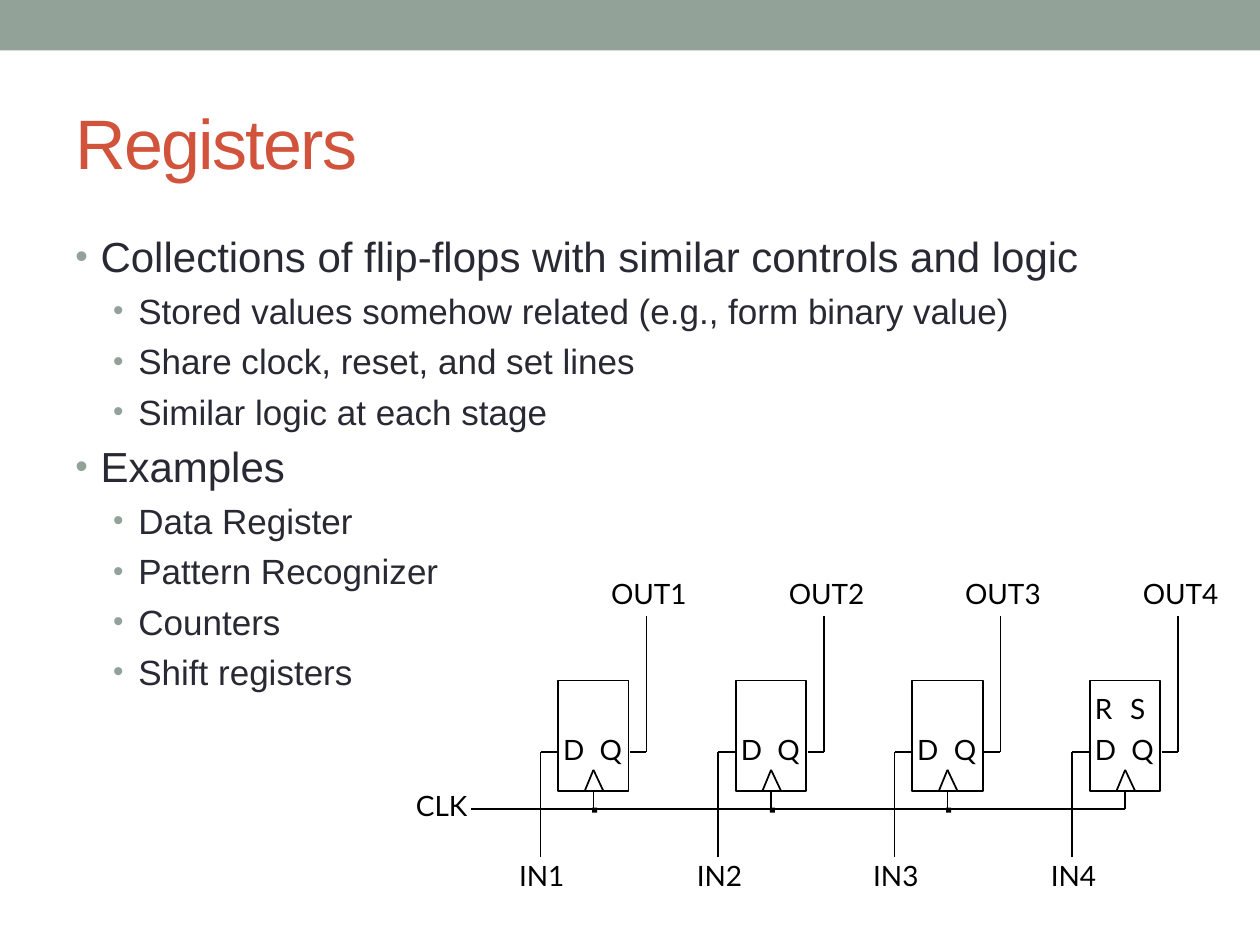
import pptx
import pptx.util
import pptx.dml.color
import pptx.enum.shapes
import pptx.enum.text
from lxml import etree
from pptx.oxml.ns import qn

Inches, Pt = pptx.util.Inches, pptx.util.Pt
ALIGN = pptx.enum.text.PP_ALIGN
ANCHOR = pptx.enum.text.MSO_ANCHOR

# Content
TITLE = "Registers"
BULLETS = [
    (0, "Collections of flip-flops with similar controls and logic"),
    (1, "Stored values somehow related (e.g., form binary value)"),
    (1, "Share clock, reset, and set lines"),
    (1, "Similar logic at each stage"),
    (0, "Examples"),
    (1, "Data Register"),
    (1, "Pattern Recognizer"),
    (1, "Counters"),
    (1, "Shift registers"),
]
BULLET_LEVELS = [{"size": 24, "margin": 0.2}, {"size": 20, "margin": 0.5}]
STAGES = [  # left edge of each flip-flop, output label, input label
    (4.43, "OUT1", "IN1"),
    (5.84, "OUT2", "IN2"),
    (7.24, "OUT3", "IN3"),
    (8.65, "OUT4", "IN4"),
]

# Circuit geometry
BOX_TOP, BOX_WIDTH, BOX_HEIGHT = 5.4, 0.56, 0.88
BOX_BOTTOM = BOX_TOP + BOX_HEIGHT
PIN_Y, CLOCK_Y, CLOCK_START = 5.97, 6.42, 3.74
STEM = 0.28  # from a flip-flop's left edge to its clock pin
LABEL_HEIGHT = 0.37


def color(hex_string):
    return pptx.dml.color.RGBColor.from_string(hex_string)


def write(paragraph, text, font="Lato", size=16, ink="000000", spacing=None):
    run = paragraph.add_run()
    run.text = text
    run.font.name, run.font.size = font, Pt(size)
    run.font.color.rgb = color(ink)
    if spacing is not None:
        run.font._element.set("spc", str(spacing))


def add_rectangle(left, top, width, height, fill, line=None):
    shape = slide.shapes.add_shape(
        pptx.enum.shapes.MSO_SHAPE.RECTANGLE,
        Inches(left), Inches(top), Inches(width), Inches(height))
    shape.shadow.inherit = False
    shape.fill.solid()
    shape.fill.fore_color.rgb = color(fill)
    if line:
        shape.line.color.rgb = color(line)
        shape.line.width = Pt(1)
    else:
        shape.line.fill.background()


def add_wire(x1, y1, x2, y2):
    wire = slide.shapes.add_connector(
        pptx.enum.shapes.MSO_CONNECTOR.STRAIGHT,
        Inches(x1), Inches(y1), Inches(x2), Inches(y2))
    wire.line.color.rgb = color("000000")
    wire.line.width = Pt(1)
    etree.SubElement(wire._element.spPr, qn("a:effectLst"))


def add_label(text, left, top, width, align=ALIGN.LEFT):
    box = slide.shapes.add_textbox(
        Inches(left), Inches(top), Inches(width), Inches(LABEL_HEIGHT))
    frame = box.text_frame
    frame.word_wrap = False
    frame.margin_left = frame.margin_right = Inches(0.02)
    frame.margin_top = frame.margin_bottom = Inches(0.03)
    paragraph = frame.paragraphs[0]
    paragraph.alignment = align
    paragraph.line_spacing = Pt(16.8)
    write(paragraph, text)


def add_bullet(paragraph, margin):
    properties = paragraph._element.get_or_add_pPr()
    properties.set("marL", str(Inches(margin)))
    properties.set("indent", str(Inches(-0.2)))
    bullet_color = etree.SubElement(properties, qn("a:buClr"))
    etree.SubElement(bullet_color, qn("a:srgbClr"), val="93A299")
    etree.SubElement(properties, qn("a:buSzPct"), val="85000")
    etree.SubElement(properties, qn("a:buFont"), typeface="Arial")
    etree.SubElement(properties, qn("a:buChar"), char="•")


presentation = pptx.Presentation()
presentation.slide_width, presentation.slide_height = Inches(10), Inches(7.5)
slide = presentation.slides.add_slide(presentation.slide_layouts[5])

# Top band and title
add_rectangle(0, 0, 10, 0.4, "93A299")
title = slide.shapes.title
title.left, title.top = Inches(0.5), Inches(0.58)
title.width, title.height = Inches(9), Inches(1.08)
title.text_frame.vertical_anchor = ANCHOR.MIDDLE
title.text_frame.paragraphs[0].alignment = ALIGN.LEFT
write(title.text_frame.paragraphs[0], TITLE, font="Arial", size=40,
      ink="D2533C", spacing=-100)

# Flip-flops with their pins, wires and labels
for left, output, source in STAGES:
    add_rectangle(left, BOX_TOP, BOX_WIDTH, BOX_HEIGHT, "FFFFFF", "000000")
    for foot in (-0.07, 0.08):
        add_wire(left + STEM + foot, BOX_BOTTOM, left + STEM, 6.11)
    add_label("D", left + 0.02, 5.82, 0.27)
    add_label("Q", left + 0.31, 5.82, 0.26)
    add_wire(left - 0.14, PIN_Y, left - 0.01, PIN_Y)
    add_wire(left - 0.14, PIN_Y, left - 0.14, 6.8)
    add_wire(left + 0.57, PIN_Y, left + 0.7, PIN_Y)
    add_wire(left + 0.7, 4.89, left + 0.7, PIN_Y)
    add_label(output, left + 0.33, 4.58, 0.78, ALIGN.CENTER)
    add_label(source, left - 0.52, 6.82, 0.78, ALIGN.CENTER)

# Reset and set pins on the last stage
last_left = STAGES[-1][0]
add_label("R", last_left + 0.02, 5.49, 0.26)
add_label("S", last_left + 0.3, 5.49, 0.27)

# Clock line, with a dot at every junction but the last
add_label("CLK", 3.18, 6.26, 0.55, ALIGN.RIGHT)
start = CLOCK_START
for left, *_ in STAGES:
    pin = left + STEM
    add_wire(pin, BOX_BOTTOM, pin, CLOCK_Y)
    add_wire(start, CLOCK_Y, pin, CLOCK_Y)
    if left != last_left:
        add_rectangle(pin - 0.01, CLOCK_Y - 0.01, 0.04, 0.04, "000000")
    start = pin

# Bullet list
body = slide.shapes.add_textbox(Inches(0.5), Inches(1.75), Inches(9), Inches(5.33))
frame = body.text_frame
frame.word_wrap = True
frame.margin_top = Inches(0.08)
for index, (level, text) in enumerate(BULLETS):
    paragraph = frame.add_paragraph() if index else frame.paragraphs[0]
    style = BULLET_LEVELS[level]
    paragraph.level = level
    add_bullet(paragraph, style["margin"])
    paragraph.space_before = Pt(4.8 if index else 0)
    write(paragraph, text, font="Arial", size=style["size"], ink="292934")

presentation.save("out.pptx")
